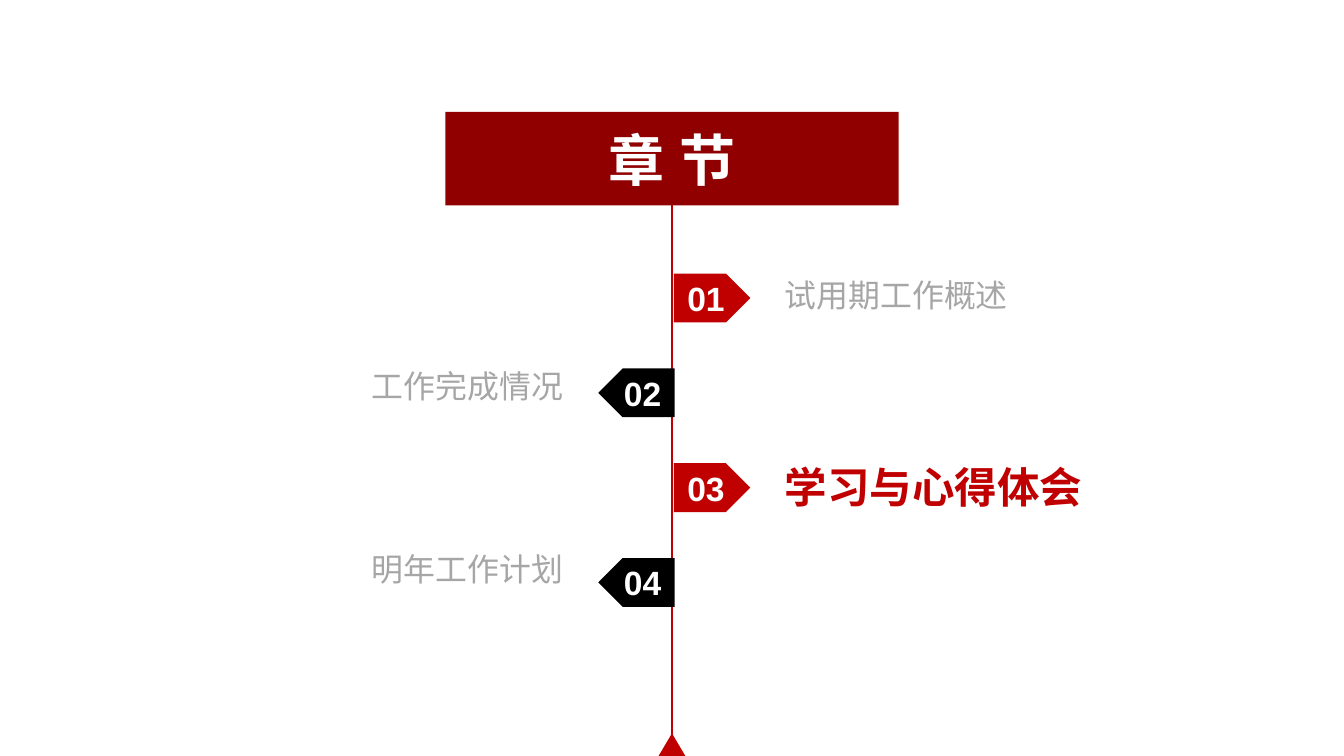
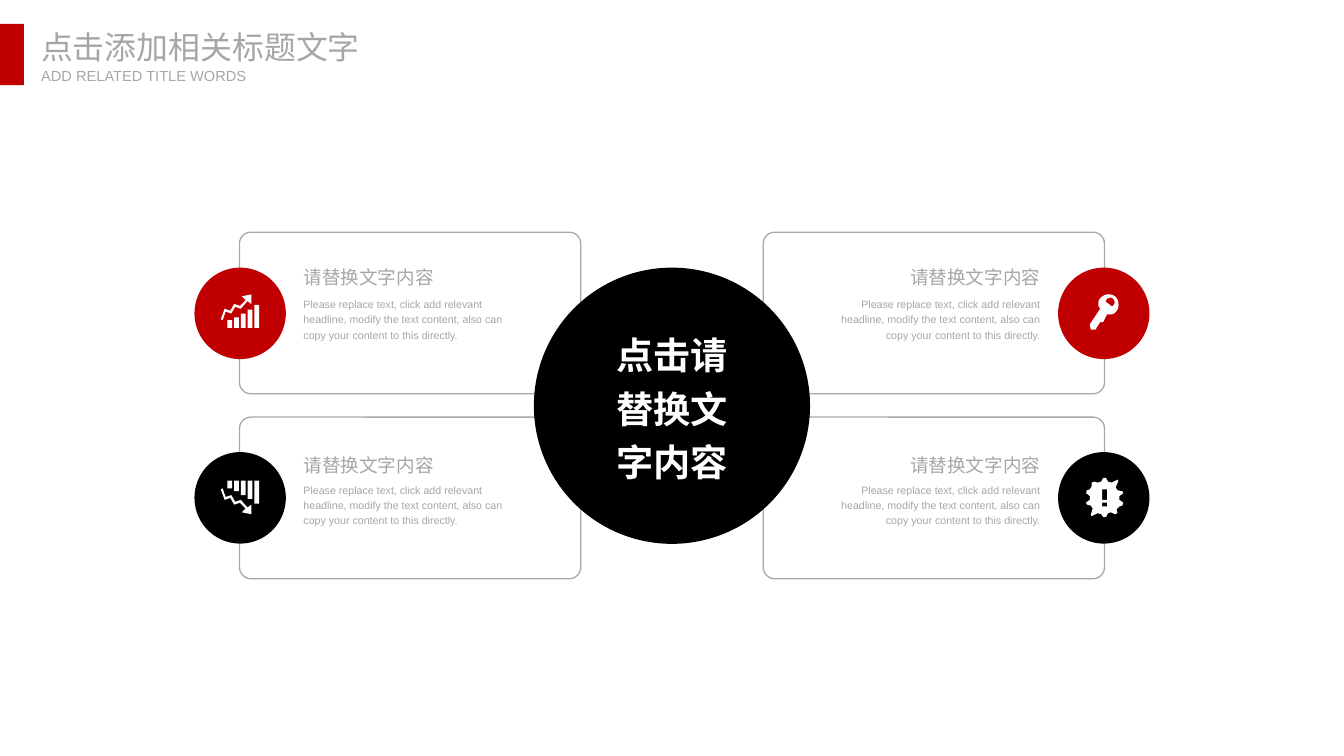
"""Build a chapter divider and a four-point overview slide."""
from lxml.etree import SubElement
from pptx import Presentation
from pptx.dml.color import RGBColor
from pptx.enum.shapes import MSO_CONNECTOR, MSO_SHAPE as Shape
from pptx.enum.text import MSO_ANCHOR as Anchor, PP_ALIGN as Align
from pptx.oxml.ns import qn
from pptx.util import Inches, Pt

RED, DARK_RED, BLACK, WHITE = "C00000", "900000", "000000", "FFFFFF"
GREY, OUTLINE = "A6A6A6", "A6AAA9"
color = RGBColor.from_string

presentation = Presentation()
presentation.slide_width = Inches(14.06)
presentation.slide_height = Inches(7.91)
COLUMN = presentation.slide_width / 100
ROW = presentation.slide_height / 100
ICON_STEP = COLUMN / 14.06


def add_box(slide, kind, left, top, width, height, fill=None, line=None):
    """Add a shape, or a text box when kind is None, in percent of the slide."""
    place = [int(left * COLUMN), int(top * ROW), int(width * COLUMN), int(height * ROW)]
    if kind is None:
        return slide.shapes.add_textbox(*place)
    shape = slide.shapes.add_shape(kind, *place)
    shape.shadow.inherit = False
    if fill:
        shape.fill.solid()
        shape.fill.fore_color.rgb = color(fill)
    else:
        shape.fill.background()
    if line:
        shape.line.color.rgb = color(line)
        shape.line.width = Pt(1)
    else:
        shape.line.fill.background()
    return shape


def write(shape, text, size, ink=GREY, bold=False, align=Align.LEFT,
          anchor=Anchor.MIDDLE, spacing=None, font="Arial", wrap=True):
    """Write one formatted paragraph into a shape without margins."""
    frame = shape.text_frame
    frame.margin_left = frame.margin_right = frame.margin_top = frame.margin_bottom = 0
    frame.word_wrap, frame.vertical_anchor = wrap, anchor
    paragraph = frame.paragraphs[0]
    paragraph.alignment, paragraph.line_spacing = align, spacing
    run = paragraph.add_run()
    run.text = text
    run.font.size, run.font.bold, run.font.name = Pt(size), bold, font
    run.font.color.rgb = color(ink)
    SubElement(run.font._element, qn("a:ea")).set("typeface", font)


blank = presentation.slide_layouts[6]

chapter = presentation.slides.add_slide(blank)
BANNER_TOP, BANNER_WIDTH = 14.79, 33.71
spine = chapter.shapes.add_connector(
    MSO_CONNECTOR.STRAIGHT, int(50 * COLUMN), int(BANNER_TOP * ROW),
    int(50 * COLUMN), int(100 * ROW))
spine.line.color.rgb = color(RED)
spine.line.width = Pt(2)
SubElement(spine._element.spPr, qn("a:effectLst"))
banner = add_box(chapter, Shape.RECTANGLE, (100 - BANNER_WIDTH) / 2, BANNER_TOP,
                 BANNER_WIDTH, 12.39, DARK_RED)
write(banner, "章 节", 42.2, WHITE, bold=True, align=Align.CENTER)
add_box(chapter, Shape.ISOSCELES_TRIANGLE, 49, 97, 2, 3, RED)

sections = [("试用期工作概述", 38.95), ("工作完成情况", 51.07),
            ("学习与心得体会", 64.35), ("明年工作计划", 75.22)]
for index, (label, middle) in enumerate(sections):
    on_left = index % 2 == 1
    current = index == 2
    tag = add_box(chapter, Shape.PENTAGON, 44.52 if on_left else 50.14,
                  36.2 + 12.54 * index, 5.69, 6.45, BLACK if on_left else RED)
    if on_left:
        tag._element.spPr.xfrm.set("flipH", "1")
    write(tag, f"{index + 1:02}", 25.3, WHITE, bold=True, align=Align.CENTER)
    left, width = (22.69, 19.2) if on_left else (58.39, 28.59)
    write(add_box(chapter, None, left, middle - 3.16, width, 6.32), label,
          32 if current else 24, RED if current else GREY, bold=current,
          align=Align.RIGHT if on_left else Align.LEFT)

overview = presentation.slides.add_slide(blank)
CARD_WIDTH, DISC_WIDTH, BODY_WIDTH, HEADING_WIDTH = 25.39, 6.8, 16.57, 13.3
CARD_LEFT, DISC_LEFT, TEXT_LEFT = 17.82, 14.47, 22.58
BODY = ("Please replace text, click add relevant headline, modify the text content, "
        "also can copy your content to this directly.")
rows = [(30.72, 35.4, 34.6, 39.1, RED), (55.18, 59.8, 59.42, 63.62, BLACK)]

for card_top, *_ in rows:
    for card_left in (CARD_LEFT, 100 - CARD_LEFT - CARD_WIDTH):
        card = add_box(overview, Shape.ROUNDED_RECTANGLE, card_left, card_top,
                       CARD_WIDTH, 21.37, line=OUTLINE)
        card.adjustments[0] = 0.07
add_box(overview, Shape.OVAL, 39.72, 35.4, 20.55, 36.54, BLACK)
write(add_box(overview, None, 44.52, 49.43, 10.95, 7.96), "点击请替换文字内容", 28,
      WHITE, bold=True, align=Align.CENTER, spacing=1.2)

for _, disc_top, heading_top, body_top, disc_fill in rows:
    for on_right in (False, True):
        align = Align.RIGHT if on_right else Align.LEFT
        disc_left, heading_left, body_left = [
            100 - left - width if on_right else left
            for left, width in ((DISC_LEFT, DISC_WIDTH), (TEXT_LEFT, HEADING_WIDTH),
                                (TEXT_LEFT, BODY_WIDTH))]
        add_box(overview, Shape.OVAL, disc_left, disc_top, DISC_WIDTH, 12.1, disc_fill)
        write(add_box(overview, None, heading_left, heading_top, HEADING_WIDTH, 3.54),
              "请替换文字内容", 14, align=align, spacing=1.2)
        write(add_box(overview, None, body_left, body_top, BODY_WIDTH, 5.94),
              BODY, 8, align=align, anchor=Anchor.TOP, spacing=1.2)

rising = [[(15, 13), (21, 15), (27, 8), (28, 7), (32, 10), (32, 0), (22, 2), (26, 6),
           (20, 12), (14, 10), (10, 17), (4, 15), (0, 26), (2, 27), (5, 18), (11, 20)]]
for bar, bar_top in enumerate((27, 24, 20, 16, 11)):
    bar_left = 7 + 7 * bar
    rising.append([(bar_left, bar_top), (bar_left + 5, bar_top),
                   (bar_left + 5, 35), (bar_left, 35)])
falling = [[(x, 35 - y) for x, y in contour] for contour in rising]
key = [
    [(25, 11), (24, 14, 22, 12, 20, 10), (18, 9, 16, 8, 17, 6), (19, 3, 22, 3, 24, 4),
     (26, 6, 27, 9, 25, 11)],
    [(30, 8), (29, 3, 24, -1, 18, 0), (13, 1, 8, 5, 9, 11), (9, 12, 10, 14, 11, 15),
     (1, 30), (0, 31, 0, 32, 0, 32), (1, 36), (1, 37, 2, 37, 2, 37), (5, 37),
     (6, 37, 7, 36, 7, 35), (11, 29), (14, 29), (18, 21), (20, 21, 22, 21, 23, 21),
     (28, 20, 31, 14, 30, 8)]]
alert = [
    [(18, 13), (23, 13), (23, 24), (18, 24)],
    [(18, 27), (23, 27), (23, 31), (18, 31)],
    [(40, 27), (36, 24), (36, 20), (40, 17), (39, 15), (34, 14), (32, 11), (35, 4),
     (34, 3), (28, 6), (24, 5), (22, 1), (19, 1), (17, 5), (13, 6), (10, 5), (7, 6),
     (7, 10), (5, 13), (2, 14), (1, 17), (5, 20), (5, 24), (1, 27), (2, 29), (6, 30),
     (8, 33), (6, 40), (7, 41), (13, 38), (17, 39), (19, 42), (22, 42), (24, 38),
     (27, 37), (31, 39), (34, 38), (33, 34), (36, 31), (39, 30)]]

icons = [(rising, 16.43, 38.94), (falling, 16.43, 63.59),
         (key, 81.08, 38.94), (alert, 80.73, 63.08)]
for contours, left, top in icons:
    builder = None
    for contour in contours:
        points = [contour[0]]
        for step in contour[1:]:
            if len(step) == 2:
                points.append(step)
                continue
            controls = [points[-1], step[:2], step[2:4], step[4:]]
            for share in (0.2, 0.4, 0.6, 0.8, 1):
                rest = 1 - share
                weights = (rest ** 3, 3 * rest ** 2 * share, 3 * rest * share ** 2, share ** 3)
                points.append(tuple(sum(weight * control[axis] for weight, control
                                        in zip(weights, controls)) for axis in (0, 1)))
        points = [(10 * x, 10 * y) for x, y in points]
        if builder is None:
            builder = overview.shapes.build_freeform(*points[0], scale=ICON_STEP / 10)
        else:
            builder.move_to(*points[0])
        builder.add_line_segments(points[1:], close=True)
    icon = builder.convert_to_shape(int(left * COLUMN), int(top * ROW))
    icon.shadow.inherit = False
    icon.fill.solid()
    icon.fill.fore_color.rgb = color(WHITE)
    icon.line.fill.background()

add_box(overview, Shape.RECTANGLE, 0, 3.16, 1.78, 8.09, RED)
write(add_box(overview, None, 3.06, 3.67, 23.97, 5.06), "点击添加相关标题文字", 24,
      anchor=Anchor.TOP, font="Noto Sans CJK SC", wrap=False)
write(add_box(overview, None, 3.06, 8.85, 15.5, 2.4), "ADD RELATED TITLE WORDS", 11,
      anchor=Anchor.TOP, wrap=False)

presentation.save("out.pptx")
